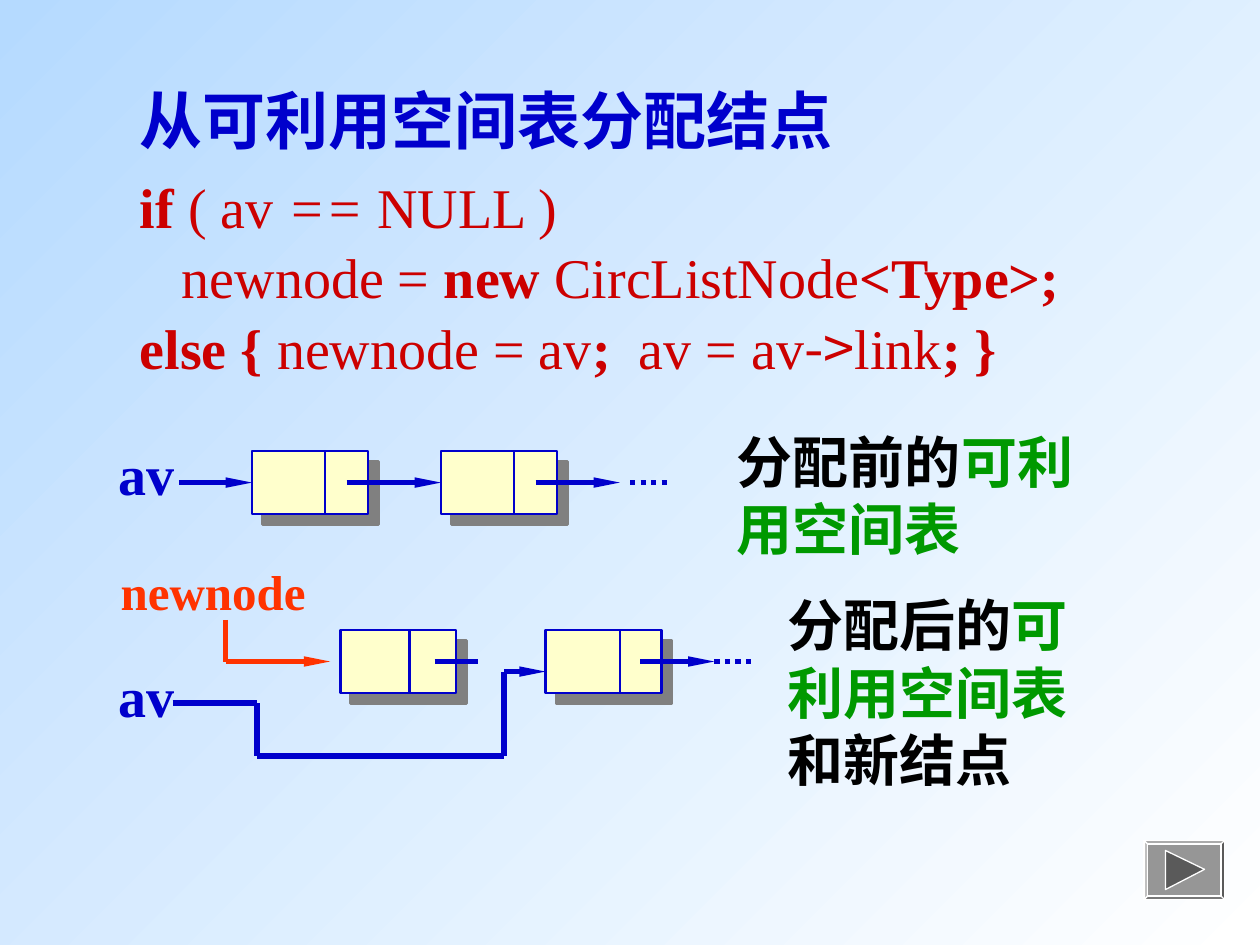
from typing import NamedTuple, Optional

from lxml.etree import SubElement
from pptx import Presentation
from pptx.dml.color import RGBColor
from pptx.enum.dml import MSO_LINE
from pptx.enum.shapes import MSO_CONNECTOR, MSO_SHAPE
from pptx.enum.text import MSO_ANCHOR, MSO_AUTO_SIZE, PP_ALIGN
from pptx.oxml.ns import qn
from pptx.util import Emu, Pt

PX = 9144  # 100 px to the inch
BLUE = RGBColor(0x00, 0x00, 0xCC)
RED = RGBColor(0xCC, 0x00, 0x00)
ORANGE = RGBColor(0xFF, 0x33, 0x00)
GREEN = RGBColor(0x00, 0x99, 0x00)
BLACK = RGBColor(0x00, 0x00, 0x00)
WHITE = RGBColor(0xFF, 0xFF, 0xFF)
CREAM = RGBColor(0xFF, 0xFF, 0xCC)
SKY = RGBColor(0xB5, 0xDA, 0xFF)
GREY = RGBColor(0x96, 0x96, 0x96)
DARK_GREY = RGBColor(0x5A, 0x5A, 0x5A)
LATIN_FONT = "Times New Roman"
CJK_FONT = "Noto Sans CJK SC"


class Span(NamedTuple):
    text: str
    bold: Optional[bool] = None
    italic: Optional[bool] = None
    color: Optional[RGBColor] = None
    font: Optional[str] = None


class Label(NamedTuple):
    left: int
    top: int
    width: int
    height: int
    spans: list[Span]
    size: int = 32
    color: RGBColor = BLUE


class Node(NamedTuple):
    left: int
    top: int
    divider: int


class Link(NamedTuple):
    """A line through the given points; only its last stretch can carry a head."""
    points: list[tuple[int, int]]
    arrow: bool = True
    dotted: bool = False
    color: RGBColor = BLUE
    width: float = 3


CODE = [
    [Span("if", True), Span(" ( av "), Span("==", italic=True), Span(" NULL )")],
    [Span("   newnode = "), Span("new", True), Span(" CircListNode"),
     Span("<Type>;", True)],
    [Span("else {", True), Span(" newnode = av"), Span(";", True),
     Span("  av = av"), Span("->", font=CJK_FONT), Span("link"),
     Span("; }", True)],
]
LABELS = [
    Label(84, 344, 80, 64, [Span("av")]),
    Label(86, 441, 190, 57, [Span("newnode")], 28, ORANGE),
    Label(84, 520, 80, 64, [Span("av")]),
    Label(575, 334, 292, 117,
          [Span("分配前的"), Span("可利用空间表", color=GREEN)], 32, BLACK),
    Label(615, 464, 268, 170,
          [Span("分配后的"), Span("可利用空间表", color=GREEN), Span("和新结点")],
          32, BLACK),
]
NODES = [Node(200, 358, 258), Node(350, 358, 408),
         Node(270, 500, 325), Node(433, 500, 492)]
LINKS = [
    Link([(142, 383), (200, 383)]),
    Link([(275, 383), (350, 383)]),
    Link([(425, 383), (492, 383)]),
    Link([(500, 383), (533, 383)], arrow=False, dotted=True),
    Link([(179, 492), (179, 525), (262, 525)], color=ORANGE),
    Link([(345, 525), (379, 525)], arrow=False),
    Link([(137, 558), (204, 558), (204, 600), (400, 600), (400, 533), (433, 533)]),
    Link([(508, 525), (567, 525)]),
    Link([(567, 525), (600, 525)], arrow=False, dotted=True),
]


def place(shape, left: int, top: int, width: int, height: int) -> None:
    shape.left, shape.top = Emu(left * PX), Emu(top * PX)
    shape.width, shape.height = Emu(width * PX), Emu(height * PX)


def set_frame(frame, side: int, edge: int) -> None:
    frame.word_wrap = True
    frame.auto_size = MSO_AUTO_SIZE.SHAPE_TO_FIT_TEXT
    frame.vertical_anchor = MSO_ANCHOR.TOP
    frame.margin_left = frame.margin_right = Emu(side * PX)
    frame.margin_top = frame.margin_bottom = Emu(edge * PX)


def write(para, spans: list[Span], size: int, color: RGBColor, bold: bool) -> None:
    para.alignment = PP_ALIGN.LEFT
    font = para.font
    font.size, font.bold, font.name = Pt(size), bold, LATIN_FONT
    font.color.rgb = color
    for span in spans:
        run = para.add_run()
        run.text = span.text
        if span.bold is not None:
            run.font.bold = span.bold
        if span.italic is not None:
            run.font.italic = span.italic
        if span.color is not None:
            run.font.color.rgb = span.color
        if span.font is not None:
            run.font.name = span.font
        SubElement(run._r.get_or_add_rPr(), qn("a:ea"), typeface=CJK_FONT)


def add_label(slide, label: Label) -> None:
    box = slide.shapes.add_textbox(0, 0, 0, 0)
    place(box, *label[:4])
    set_frame(box.text_frame, 10, 5)
    write(box.text_frame.paragraphs[0], label.spans, label.size, label.color, True)


def add_code(slide) -> None:
    box = slide.shapes.add_textbox(0, 0, 0, 0)
    place(box, 99, 128, 893, 180)
    frame = box.text_frame
    set_frame(frame, 12, 6)
    for index, spans in enumerate(CODE):
        para = frame.add_paragraph() if index else frame.paragraphs[0]
        para.line_spacing = 1.05
        write(para, spans, 32, RED, False)


def add_link(slide, link: Link) -> None:
    pairs = list(zip(link.points, link.points[1:]))
    for index, (start, end) in enumerate(pairs, 1):
        line = slide.shapes.add_connector(
            MSO_CONNECTOR.STRAIGHT, *(Emu(value * PX) for value in start + end))
        line.line.color.rgb = link.color
        line.line.width = Pt(link.width)
        if link.dotted:
            line.line.dash_style = MSO_LINE.ROUND_DOT
        if link.arrow and index == len(pairs):
            SubElement(line.line._get_or_add_ln(), qn("a:tailEnd"),
                       type="triangle", w="sm", len="lg")
        SubElement(line._element.spPr, qn("a:effectLst"))


def add_node(slide, node: Node) -> None:
    box = slide.shapes.add_shape(MSO_SHAPE.RECTANGLE, 0, 0, 0, 0)
    place(box, node.left, node.top, 92, 50)
    box.fill.solid()
    box.fill.fore_color.rgb = CREAM
    box.line.color.rgb = BLUE
    box.line.width = Pt(1.5)
    effects = SubElement(box._element.spPr, qn("a:effectLst"))
    shadow = SubElement(effects, qn("a:outerShdw"), dist=str(Pt(8.5)),
                        dir="2700000", algn="ctr", rotWithShape="0")
    SubElement(shadow, qn("a:srgbClr"), val="808080")
    add_link(slide, Link([(node.divider, node.top), (node.divider, node.top + 50)],
                         arrow=False, width=1.5))


def add_next_button(slide) -> None:
    button = slide.shapes.add_shape(MSO_SHAPE.BEVEL, 0, 0, 0, 0)
    place(button, 908, 667, 64, 47)
    button.adjustments[0] = 0.06
    builder = slide.shapes.build_freeform(925, 675, scale=PX)
    builder.add_line_segments([(956, 690), (925, 706)], close=True)
    triangle = builder.convert_to_shape()
    for shape, color in ((button, GREY), (triangle, DARK_GREY)):
        shape.shadow.inherit = False
        shape.fill.solid()
        shape.fill.fore_color.rgb = color
        shape.line.color.rgb = WHITE
        shape.line.width = Pt(0.75)


def main() -> None:
    deck = Presentation()
    deck.slide_width, deck.slide_height = Emu(1000 * PX), Emu(750 * PX)
    slide = deck.slides.add_slide(deck.slide_layouts[5])
    backdrop = slide.background.fill
    backdrop.gradient()
    backdrop.gradient_angle = 315
    for stop, color in zip(backdrop.gradient_stops, (SKY, WHITE)):
        stop.color.rgb = color

    title = slide.shapes.title
    place(title, 99, 59, 600, 72)
    set_frame(title.text_frame, 12, 6)
    write(title.text_frame.paragraphs[0], [Span("从可利用空间表分配结点")],
          36, BLUE, True)
    add_code(slide)
    for node in NODES:
        add_node(slide, node)
    for link in LINKS:
        add_link(slide, link)
    for label in LABELS:
        add_label(slide, label)
    add_next_button(slide)
    deck.save("out.pptx")


if __name__ == "__main__":
    main()
